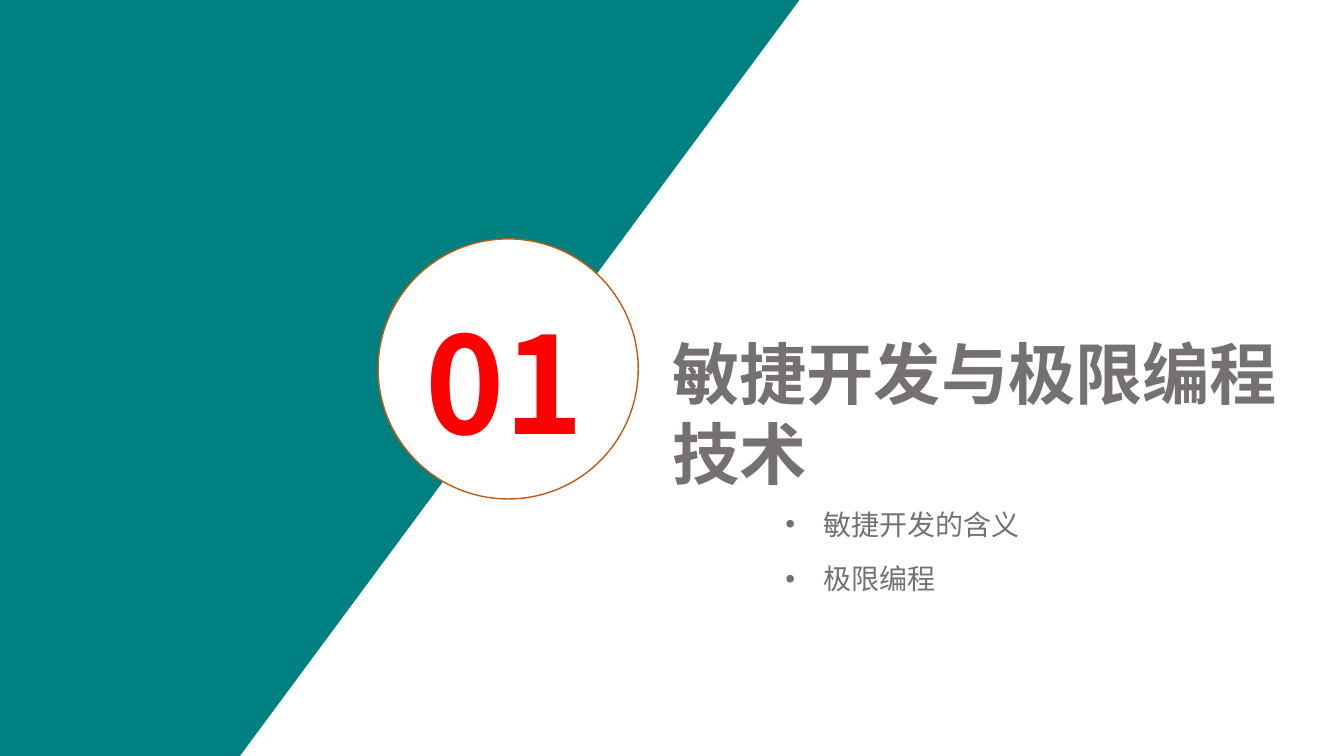
from pptx import Presentation
from pptx.dml.color import RGBColor
from pptx.enum.shapes import MSO_SHAPE
from pptx.enum.text import MSO_AUTO_SIZE
from pptx.oxml.ns import qn
from pptx.util import Inches, Pt
from lxml.etree import SubElement

THEME = {
    "font": "Noto Sans CJK SC",
    "teal": RGBColor(0x00, 0x80, 0x80),
    "white": RGBColor(0xFF, 0xFF, 0xFF),
    "ring": RGBColor(0xC5, 0x5A, 0x11),
    "red": RGBColor(0xFF, 0x00, 0x00),
    "gray": RGBColor(0x76, 0x71, 0x71),
    "number": 96, "title": 48, "item": 20,
    "leading": 1.19,    # line pitch, in ems
    "lead_in": 0.1,     # extra space over the first line, in ems
}


def add_text(s, box, text, size, color, bold=False, bullet=False):
    tb = s.shapes.add_textbox(*[Inches(v) for v in box])
    tf = tb.text_frame
    tf.word_wrap = True
    tf.auto_size = MSO_AUTO_SIZE.SHAPE_TO_FIT_TEXT
    tf.margin_top = Inches(0.05) + Pt(size * THEME["lead_in"])
    p = tf.paragraphs[0]
    p.line_spacing = Pt(round(size * THEME["leading"], 1))
    if bullet:
        pPr = p._p.get_or_add_pPr()
        pPr.set("marL", str(Inches(0.38)))
        pPr.set("indent", str(-Inches(0.38)))
        SubElement(pPr, qn("a:buFont")).set("typeface", "Arial")
        SubElement(pPr, qn("a:buChar")).set("char", "•")
    r = p.add_run()
    r.text = text
    r.font.size = Pt(size)
    r.font.bold = bold
    r.font.color.rgb = color
    r.font.name = THEME["font"]
    SubElement(r._r.get_or_add_rPr(), qn("a:ea")).set("typeface", THEME["font"])


prs = Presentation()
prs.slide_width, prs.slide_height = Inches(13.33), Inches(7.5)
W, H = prs.slide_width, prs.slide_height
s = prs.slides.add_slide(prs.slide_layouts[6])

# Slanted teal panel
fb = s.shapes.build_freeform(0, 0)
fb.add_line_segments([(Inches(7.93), 0), (Inches(2.38), H), (0, H)], close=True)
panel = fb.convert_to_shape()
panel.shadow.inherit = False
panel.fill.solid()
panel.fill.fore_color.rgb = THEME["teal"]
panel.line.fill.background()

# Section number in a ring
ring = s.shapes.add_shape(MSO_SHAPE.OVAL, Inches(3.75), Inches(2.37),
                          Inches(2.58), Inches(2.58))
ring.shadow.inherit = False
ring.fill.solid()
ring.fill.fore_color.rgb = THEME["white"]
ring.line.color.rgb = THEME["ring"]
ring.line.width = Pt(1)
add_text(s, (4.12, 2.81, 1.9, 1.81), "01", THEME["number"], THEME["red"], bold=True)

# Section title
add_text(s, (6.57, 3.19, 6.29, 1.76), "敏捷开发与极限编程技术",
         THEME["title"], THEME["gray"], bold=True)

# Topics
for i, topic in enumerate(["敏捷开发的含义", "极限编程"]):
    add_text(s, (7.69, 4.96 + 0.54 * i, 4.06, 0.46), topic,
             THEME["item"], THEME["gray"], bullet=True)

prs.save("out.pptx")
